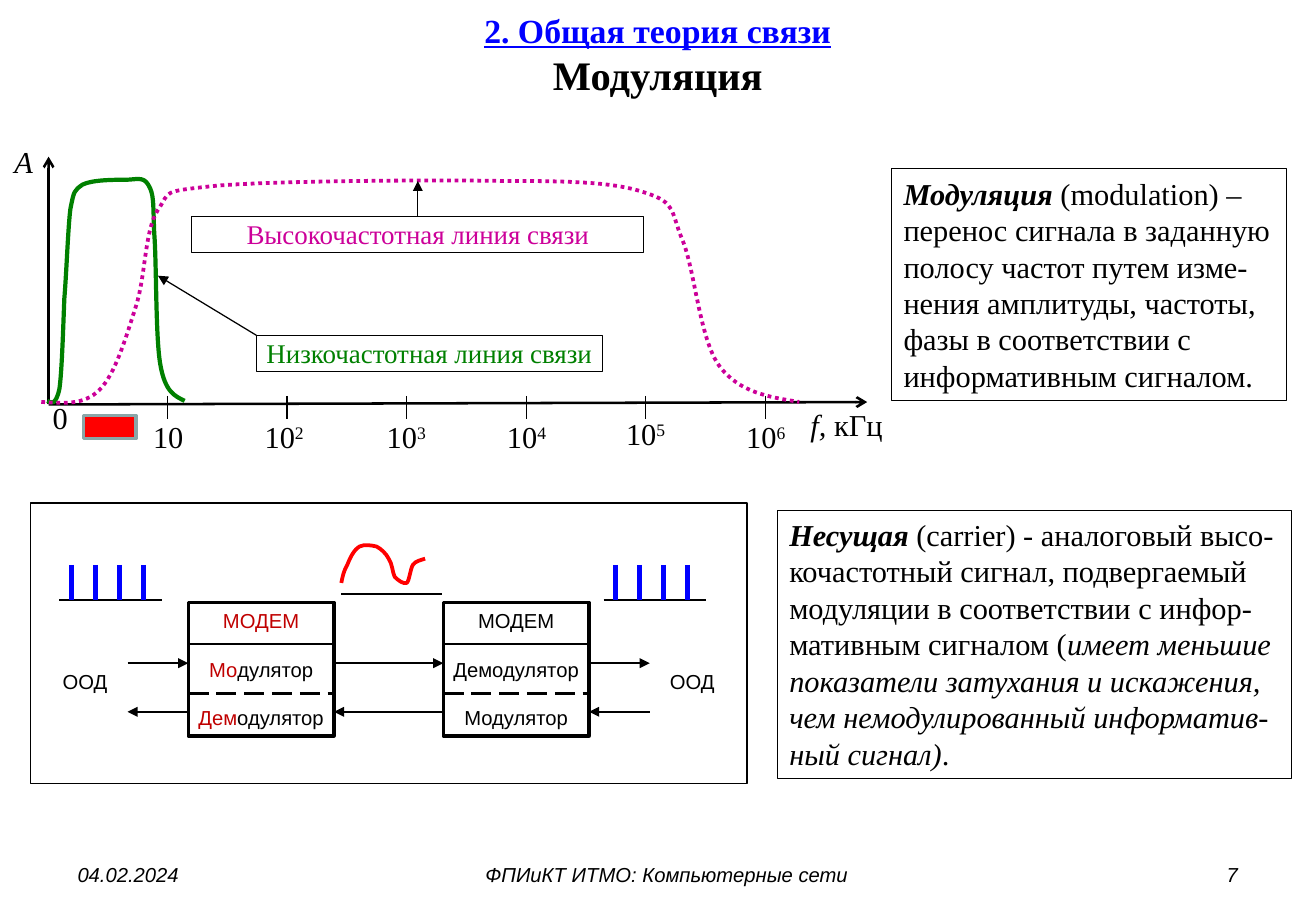
from dataclasses import dataclass

from lxml import etree
from pptx import Presentation
from pptx.dml.color import RGBColor
from pptx.enum.dml import MSO_LINE
from pptx.enum.shapes import MSO_CONNECTOR, MSO_SHAPE
from pptx.enum.text import MSO_ANCHOR, MSO_AUTO_SIZE, PP_ALIGN
from pptx.oxml.ns import qn
from pptx.util import Cm, Pt

LEFT, CENTER, RIGHT = PP_ALIGN.LEFT, PP_ALIGN.CENTER, PP_ALIGN.RIGHT
TOP, MIDDLE = MSO_ANCHOR.TOP, MSO_ANCHOR.MIDDLE
DOTS, DASHES = MSO_LINE.ROUND_DOT, MSO_LINE.LONG_DASH
STRAIGHT, RECT = MSO_CONNECTOR.STRAIGHT, MSO_SHAPE.RECTANGLE
FIXED = MSO_AUTO_SIZE.NONE
SERIF, SANS = "Times New Roman", "Arial"
BLACK, WHITE, BLUE, RED = "000000", "FFFFFF", "0000FF", "FF0000"
GREEN, PINK, CRIMSON, GREY = "008000", "CC0099", "C00000", "8AA6A8"
SNUG = (0.02, 0.01, 0.02, 0.01)
ROOMY = (0.1, 0.05, 0.1, 0.05)


@dataclass
class Part:
    text: str
    size: float = 18
    color: str = BLACK
    font: str = SERIF
    bold: bool = False
    italic: bool = False
    under: bool = False
    power: bool = False


@dataclass
class Box:
    at: tuple[float, float, float, float]
    paras: list[list[Part]]
    align: PP_ALIGN = CENTER
    pad: tuple[float, float, float, float] = SNUG
    width: float = 0
    edge: str = BLACK
    fill: str = ""
    wrap: bool = True
    gap: float = 0


@dataclass
class Line:
    start: tuple[float, float]
    end: tuple[float, float]
    width: float = 0.75
    color: str = BLACK
    tip: str = ""
    dash: MSO_LINE | None = None


@dataclass
class Curve:
    points: list[tuple[float, float]]
    color: str
    width: float
    dash: MSO_LINE | None = None


def inch(size: float) -> Cm:
    """Turn slide inches into a length."""
    return Cm(2.54 * size)


def rgb(code: str) -> RGBColor:
    return RGBColor.from_string(code)


def style(run, part: Part) -> None:
    font = run.font
    font.name, font.size = part.font, Pt(part.size)
    font.bold, font.italic, font.underline = part.bold, part.italic, part.under
    font.color.rgb = rgb(part.color)
    if part.power:
        run._r.get_or_add_rPr().set("baseline", "30000")


def stroke(line, color: str, width: float, dash: MSO_LINE | None = None) -> None:
    line.color.rgb = rgb(color)
    line.width = Pt(width)
    if dash is not None:
        line.dash_style = dash


def draw_box(shapes, box: Box) -> None:
    place = [inch(n) for n in box.at]
    if box.width:
        shape = shapes.add_shape(RECT, *place)
        shape.shadow.inherit = False
        stroke(shape.line, box.edge, box.width)
    else:
        shape = shapes.add_textbox(*place)
    if box.fill:
        shape.fill.solid()
        shape.fill.fore_color.rgb = rgb(box.fill)
    else:
        shape.fill.background()
    frame = shape.text_frame
    frame.word_wrap, frame.auto_size = box.wrap, FIXED
    frame.vertical_anchor = TOP
    (frame.margin_left, frame.margin_top,
     frame.margin_right, frame.margin_bottom) = [inch(n) for n in box.pad]
    for i, parts in enumerate(box.paras):
        para = frame.add_paragraph() if i else frame.paragraphs[0]
        para.alignment = box.align
        if i:
            para.space_before = Pt(box.gap)
        for part in parts:
            run = para.add_run()
            run.text = part.text
            style(run, part)


def draw_line(shapes, line: Line) -> None:
    ends = [inch(n) for n in line.start + line.end]
    link = shapes.add_connector(STRAIGHT, *ends)
    stroke(link.line, line.color, line.width, line.dash)
    props = link._element.spPr
    if line.tip:
        etree.SubElement(props.find(qn("a:ln")), qn("a:tailEnd"), type=line.tip)
    etree.SubElement(props, qn("a:effectLst"))


def draw_curve(shapes, curve: Curve) -> None:
    """Draw a chain of cubic Bezier arcs: a start, then three points per arc."""
    start, *rest = [(inch(x), inch(y)) for x, y in curve.points]
    pen = shapes.build_freeform(*start)
    pen.add_line_segments(rest, close=False)
    shape = pen.convert_to_shape()
    legs = list(shape._element.iter(qn("a:lnTo")))
    for k in range(0, len(legs), 3):
        arc = etree.Element(qn("a:cubicBezTo"))
        legs[k].addprevious(arc)
        for leg in legs[k:k + 3]:
            arc.append(leg[0])
            leg.getparent().remove(leg)
    shape.shadow.inherit = False
    shape.fill.background()
    stroke(shape.line, curve.color, curve.width, curve.dash)


def draw_title(title) -> None:
    title.left, title.top, title.width, title.height = map(inch, (0.54, 0, 9.75, 0.89))
    frame = title.text_frame
    frame.text = "2. Общая теория связи\vМодуляция"
    frame.auto_size, frame.vertical_anchor = FIXED, MIDDLE
    para = frame.paragraphs[0]
    para.alignment = CENTER
    looks = (Part("", 20, BLUE, bold=True, under=True), Part("", 24, bold=True))
    for run, look in zip(para.runs, looks):
        style(run, look)
    etree.SubElement(para._p.find(qn("a:br")), qn("a:rPr"), sz="2000")


def draw_plot(shapes) -> None:
    draw_line(shapes, Line((0.4, 3.33), (0.4, 1.29), 1.5, tip="arrow"))
    draw_line(shapes, Line((0.4, 3.33), (7.14, 3.31), 1.5, tip="arrow"))
    marks = [((0.25, 3.28, 0.49, 0.32), [Part("0")], SNUG),
             ((6.65, 3.33, 0.64, 0.32), [Part("f, ", italic=True), Part("кГц")], SNUG),
             ((0, 1.14, 0.39, 0.4), [Part("А", italic=True)], (0.1, 0.04, 0.1, 0.05))]
    spots = ((1.19, 3.43, 0.39), (2.12, 3.43, 0.44), (3.1, 3.43, 0.49),
             (4.09, 3.43, 0.49), (5.07, 3.41, 0.49), (6.06, 3.43, 0.49))
    for i, (x, y, width) in enumerate(spots):
        tick = 1.38 + 0.984 * i
        draw_line(shapes, Line((tick, 3.26), (tick, 3.45)))
        power = [Part(str(i + 1), power=True)] if i else []
        marks.append(((x, y, width, 0.32), [Part("10")] + power, SNUG))
    for at, parts, pad in marks:
        draw_box(shapes, Box(at, [parts], pad=pad, wrap=False))
    draw_curve(shapes, Curve([
        (0.39, 3.3), (0.42, 3.32), (0.46, 3.34), (0.49, 3.2), (0.51, 3.06), (0.52, 2.71),
        (0.53, 2.46), (0.55, 2.21), (0.56, 1.88), (0.58, 1.72), (0.61, 1.57), (0.61, 1.57),
        (0.68, 1.52), (0.76, 1.48), (0.94, 1.48), (1.03, 1.48), (1.12, 1.48), (1.18, 1.45),
        (1.22, 1.52), (1.27, 1.6), (1.26, 1.67), (1.27, 1.92), (1.29, 2.16), (1.28, 2.77),
        (1.32, 3), (1.36, 3.23), (1.44, 3.26), (1.52, 3.3)], GREEN, 2.5))
    draw_curve(shapes, Curve([
        (0.34, 3.31), (0.52, 3.32), (0.69, 3.34), (0.82, 3.21), (0.95, 3.08), (1.04, 2.77),
        (1.12, 2.52), (1.2, 2.27), (1.19, 1.9), (1.3, 1.73), (1.41, 1.57), (1.31, 1.58),
        (1.78, 1.53), (2.25, 1.49), (3.53, 1.48), (4.12, 1.49), (4.71, 1.49), (5.07, 1.5),
        (5.32, 1.59), (5.57, 1.67), (5.52, 1.74), (5.62, 1.98), (5.72, 2.22), (5.76, 2.79),
        (5.92, 3.01), (6.08, 3.23), (6.33, 3.27), (6.58, 3.31)], PINK, 2.25, DOTS))
    for at, text, color, fill, start, end in (
            ((2.11, 2.76, 2.85, 0.3), "Низкочастотная линия связи", GREEN, WHITE, (2.11, 2.76), (1.3, 2.27)),
            ((1.58, 1.78, 3.72, 0.3), "Высокочастотная линия связи", PINK, "", (3.44, 1.78), (3.44, 1.49))):
        draw_box(shapes, Box(at, [[Part(text, 16, color)]], pad=(0, 0.01, 0, 0.01), width=0.5, fill=fill))
        draw_line(shapes, Line(start, end, tip="triangle"))
    draw_box(shapes, Box((0.69, 3.42, 0.43, 0.19), [], width=2, edge=GREY, fill=RED))


def draw_modems(shapes) -> None:
    def sans(text: str, color: str = BLACK) -> Part:
        return Part(text, 12, color, SANS)

    draw_box(shapes, Box((0.25, 4.14, 5.9, 2.31), [], width=0.75))
    sender = [[sans("МОДЕМ", CRIMSON)], [sans("Мо", CRIMSON), sans("дулятор")],
              [sans("Дем", CRIMSON), sans("одулятор")]]
    taker = [[sans("МОДЕМ")], [sans("Демодулятор")], [sans("Модулятор")]]
    for x, paras in ((1.55, sender), (3.65, taker)):
        draw_box(shapes, Box((x, 4.96, 1.2, 1.1), paras, pad=(0.02, 0.05, 0.02, 0.01), width=2, gap=14.4))
        for y, dash in ((5.3, None), (5.71, DASHES)):
            draw_line(shapes, Line((x, y), (x + 1.2, y), 1.5, dash=dash))
    for x, end in ((1.05, 1.55), (2.75, 3.65), (4.85, 5.35)):
        draw_line(shapes, Line((x, 5.46), (end, 5.46), 1, tip="triangle"))
        draw_line(shapes, Line((end, 5.86), (x, 5.86), 1, tip="triangle"))
    for x, base in ((0.45, 0.49), (5.45, 4.97)):
        draw_box(shapes, Box((x, 5.46, 0.5, 0.4), [[sans("ООД")]], pad=(0.02, 0.05, 0.02, 0.05)))
        draw_line(shapes, Line((base, 4.94), (base + 0.84, 4.94)))
        for i in range(4):
            pulse = base + 0.1 + 0.197 * i
            draw_line(shapes, Line((pulse, 4.65), (pulse, 4.94), 3, BLUE))
    draw_line(shapes, Line((2.81, 4.89), (3.64, 4.89)))
    draw_curve(shapes, Curve([
        (2.81, 4.8), (2.82, 4.75), (2.83, 4.7), (2.86, 4.65), (2.88, 4.6), (2.91, 4.53),
        (2.96, 4.5), (3, 4.48), (3.06, 4.49), (3.1, 4.5), (3.14, 4.52), (3.18, 4.56),
        (3.2, 4.6), (3.23, 4.64), (3.23, 4.71), (3.25, 4.75), (3.28, 4.78), (3.32, 4.81),
        (3.35, 4.8), (3.37, 4.78), (3.38, 4.68), (3.4, 4.65), (3.42, 4.62), (3.47, 4.61),
        (3.5, 4.6)], RED, 2.25))


def draw_notes(shapes) -> None:
    """Draw the two definitions and the footer."""
    for at, parts in (
            ((7.34, 1.39, 3.25, 1.91), [
                Part("Модуляция", bold=True, italic=True),
                Part(" (modulation) – перенос сигнала в заданную полосу частот путем изме-нения "
                     "амплитуды, частоты, фазы в соответствии с информативным сигналом.")]),
            ((6.4, 4.2, 4.23, 2.21), [
                Part("Несущая ", bold=True, italic=True),
                Part("(carrier) - аналоговый высо-кочастотный сигнал, подвергаемый модуляции "
                     "в соответствии с инфор-мативным сигналом ("),
                Part("имеет меньшие показатели затухания и искажения, чем немодулированный "
                     "информатив-ный сигнал)", italic=True),
                Part(".")])):
        draw_box(shapes, Box(at, [parts], LEFT, ROOMY, 0.5))
    for x, width, text, align in ((0.54, 2.53, "04.02.2024", LEFT),
                                  (3.35, 4.28, "ФПИиКТ ИТМО: Компьютерные сети", CENTER),
                                  (7.76, 2.53, "7", RIGHT)):
        part = Part(text, 12, font=SANS, italic=True)
        draw_box(shapes, Box((x, 7.05, width, 0.3), [[part]], align, ROOMY))


def main() -> None:
    deck = Presentation()
    deck.slide_width, deck.slide_height = Cm(27.52), Cm(19.05)
    shapes = deck.slides.add_slide(deck.slide_layouts[5]).shapes
    draw_title(shapes.title)
    draw_plot(shapes)
    draw_notes(shapes)
    draw_modems(shapes)
    deck.save("out.pptx")


if __name__ == "__main__":
    main()
